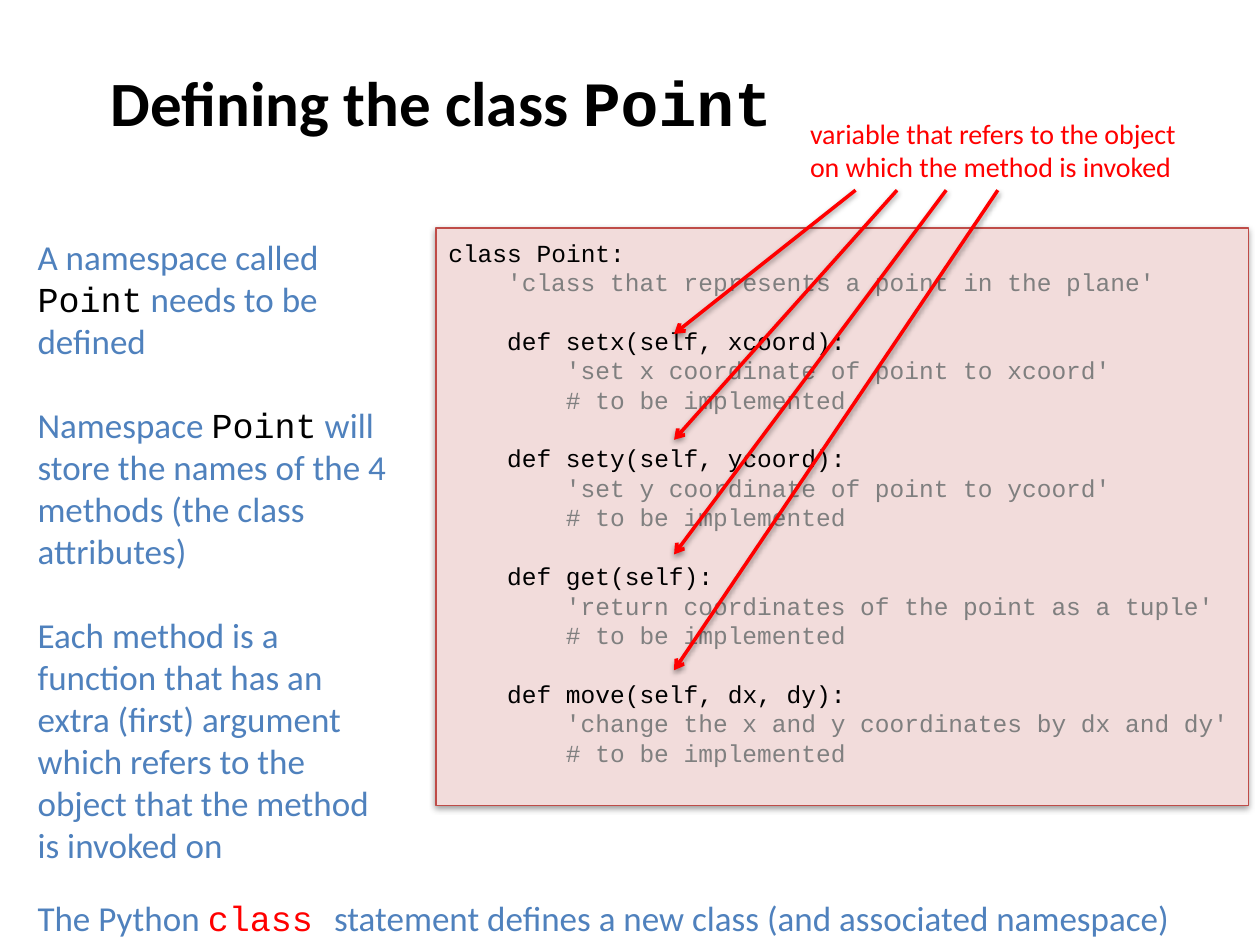
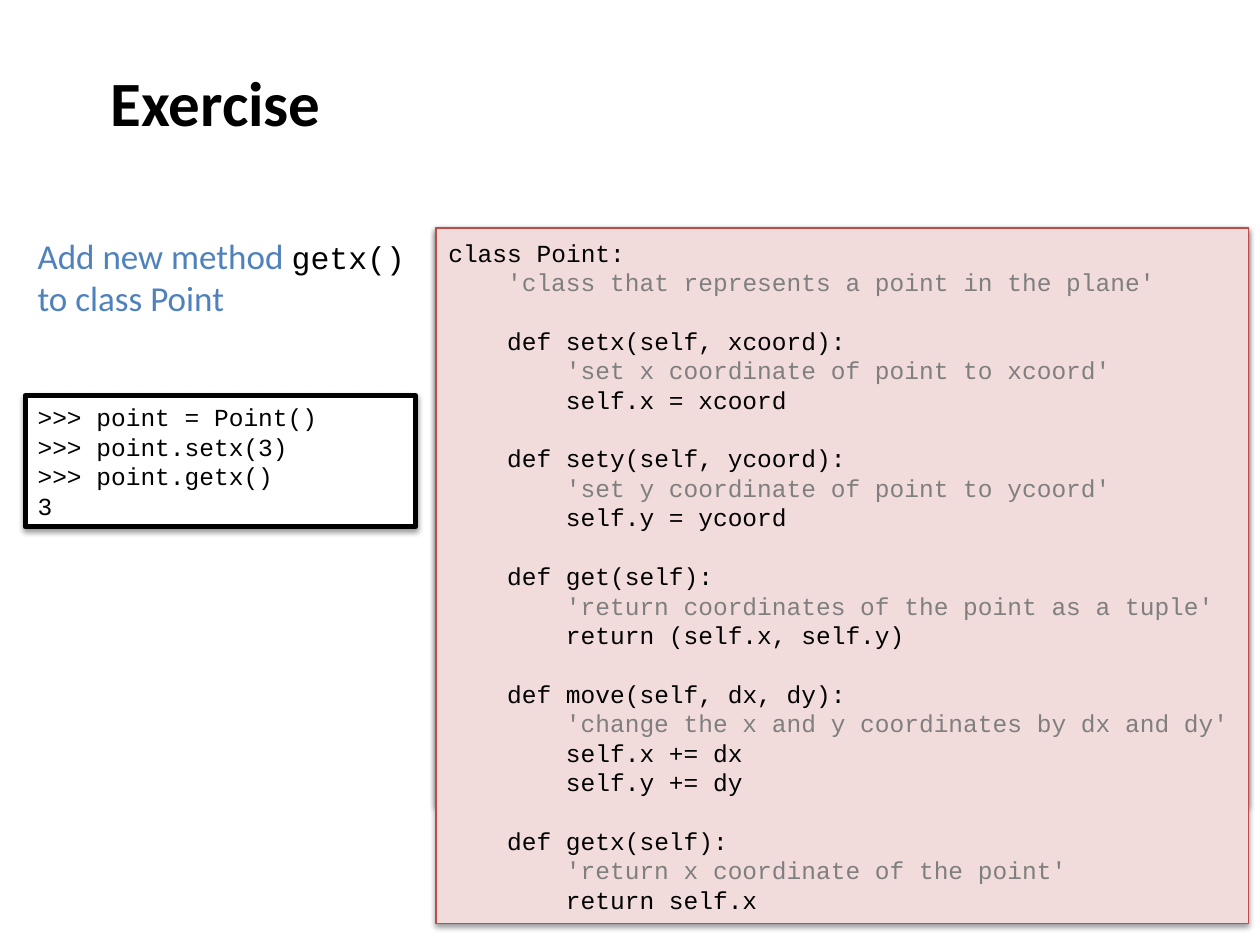
from lxml import etree
from pptx import Presentation
from pptx.dml.color import RGBColor
from pptx.enum.shapes import MSO_CONNECTOR, MSO_SHAPE
from pptx.enum.text import MSO_ANCHOR, PP_ALIGN
from pptx.oxml import parse_xml
from pptx.oxml.ns import qn
from pptx.util import Pt

RECT = MSO_SHAPE.RECTANGLE
STRAIGHT = MSO_CONNECTOR.STRAIGHT
TOP, MIDDLE = MSO_ANCHOR.TOP, MSO_ANCHOR.MIDDLE
LEFT = PP_ALIGN.LEFT

COLORS = {
    "black": "000000", "white": "FFFFFF", "blue": "4F81BD", "red": "FF0000",
    "panel": "F2DCDB", "border": "BF4C48", "docstring": "7F7F7F", "comment": "808080",
}
BODY, MONO = "Calibri", "Courier New"
CODE_SIZE, CODE_LINE, CODE_INDENT = 14, 16.8, 33.6
TITLE_BOX = (56.2, 0, 627.8, 116)
PANEL_BOX = (249.1, 130.3, 464.4, 329.8)
FULL_PANEL_BOX = (249.1, 130.3, 464.4, 397.4)
SHADOW = (
    '<a:effectLst xmlns:a="http://schemas.openxmlformats.org/drawingml/2006/main">'
    '<a:outerShdw blurRad="40000" dist="20000" dir="5400000" rotWithShape="0">'
    '<a:srgbClr val="000000"><a:alpha val="38000"/></a:srgbClr>'
    '</a:outerShdw></a:effectLst>'
)

CLASS_HEAD = [(0, "class Point:"), (1, "'class that represents a point in the plane'")]
METHODS = [
    ("setx(self, xcoord)", "set x coordinate of point to xcoord", ["self.x = xcoord"]),
    ("sety(self, ycoord)", "set y coordinate of point to ycoord", ["self.y = ycoord"]),
    ("get(self)", "return coordinates of the point as a tuple", ["return (self.x, self.y)"]),
    ("move(self, dx, dy)", "change the x and y coordinates by dx and dy",
     ["self.x += dx", "self.y += dy"]),
]
GETX = ("getx(self)", "return x coordinate of the point", ["return self.x"])
STUB = ["# to be implemented"]


def rgb(name):
    """Return the named colour."""
    return RGBColor.from_string(COLORS[name])


def add_run(p, text, size=20, font=BODY, color="blue", bold=False):
    """Add formatted text to a paragraph."""
    r = p.add_run()
    r.text = text
    r.font.size, r.font.name, r.font.bold = Pt(size), font, bold
    r.font.color.rgb = rgb(color)


def add_paragraphs(tf, paragraphs, gaps=(), gap=24, **fmt):
    """Fill a frame; each paragraph is a list of (text, format) runs."""
    for i, runs in enumerate(paragraphs):
        p = tf.add_paragraph() if i else tf.paragraphs[0]
        p.alignment = LEFT
        if i in gaps:
            p.space_before = Pt(gap)
        for text, own in runs:
            add_run(p, text, **{**fmt, **own})


def add_text(s, box, paragraphs, wrap=True, **fmt):
    """Add a vertically centred text box."""
    tf = s.shapes.add_textbox(*map(Pt, box)).text_frame
    tf.word_wrap, tf.vertical_anchor = wrap, MIDDLE
    add_paragraphs(tf, paragraphs, **fmt)


def add_title(s, *runs):
    """Add the slide title."""
    add_text(s, TITLE_BOX, [runs], size=36, color="black", bold=True)


def add_shadow(sp):
    """Give a shape or connector the soft drop shadow."""
    sp._element.spPr.append(parse_xml(SHADOW))


def add_panel(s, box, fill="panel", line="border", width=0.75):
    """Add a shadowed rectangle and return its text frame."""
    sp = s.shapes.add_shape(RECT, *map(Pt, box))
    sp.fill.solid()
    sp.fill.fore_color.rgb = rgb(fill)
    sp.line.color.rgb = rgb(line)
    sp.line.width = Pt(width)
    add_shadow(sp)
    tf = sp.text_frame
    tf.word_wrap, tf.vertical_anchor = True, MIDDLE
    return tf


def class_lines(methods, stubbed=False):
    """List (indent level, code) for the class Point."""
    lines = list(CLASS_HEAD)
    for signature, doc, body in methods:
        lines += [(1, f"def {signature}:"), (2, f"'{doc}'")]
        lines += [(2, code) for code in (STUB if stubbed else body)]
    return lines


def add_class_code(s, box, lines):
    """Add a panel with indented source code, one gap above each method."""
    tf = add_panel(s, box)
    tf.vertical_anchor, tf.margin_top = TOP, Pt(5.4)
    tones = {"'": "docstring", "#": "comment"}
    runs = [[(code, {"color": tones.get(code[0], "black")})] for _, code in lines]
    gaps = [i for i, (_, code) in enumerate(lines) if code.startswith("def")]
    add_paragraphs(tf, runs, gaps, CODE_LINE, size=CODE_SIZE, font=MONO)
    for p, (level, _) in zip(tf.paragraphs, lines):
        pPr = p._p.get_or_add_pPr()
        pPr.set("marL", str(Pt(level * CODE_INDENT)))
        pPr.set("indent", "0")


def add_console(s, box, lines):
    """Add the framed interpreter session."""
    tf = add_panel(s, box, "white", "black", 3)
    add_paragraphs(tf, [[(line, {})] for line in lines],
                   size=CODE_SIZE, font=MONO, color="black")


def add_self_arrows(s, box):
    """Point from the note above the panel to each self parameter."""
    x, y = box[:2]
    for start, end in zip((239.8, 263.5, 291.6, 321.1), (60.5, 121, 186.5, 252.7)):
        c = s.shapes.add_connector(STRAIGHT, Pt(x + start), Pt(y - 21.6),
                                   Pt(x + 136.1), Pt(y + end))
        c.line.color.rgb = rgb("red")
        c.line.width = Pt(2)
        etree.SubElement(c.line._get_or_add_ln(), qn("a:tailEnd"), type="arrow")
        add_shadow(c)


def definition_slide(prs):
    """Build the slide that defines the class."""
    s = prs.slides.add_slide(prs.slide_layouts[6])
    mono = {"font": MONO, "color": "black"}
    add_title(s, ("Defining the class ", {}), ("Point", mono))
    add_text(s, (14.4, 130.3, 223.2, 200.9), [
        [("A namespace called ", {}), ("Point", mono), (" needs to be defined", {})],
        [("Namespace ", {}), ("Point", mono),
         (" will store the names of the 4 methods (the class", {})],
        [("attributes)", {})],
    ], gaps=[1])
    add_text(s, (14.4, 346.3, 209.5, 152.6), [
        [("Each method is a function that has an extra (first) argument", {})],
        [("which refers to the object that the method is invoked on", {})],
    ])
    add_class_code(s, PANEL_BOX, class_lines(METHODS, stubbed=True))
    add_text(s, (14.4, 508.3, 669.6, 31.7), [[
        ("The Python ", {}), ("class ", {"font": MONO, "color": "red"}),
        ("statement defines a new class (and associated namespace)", {}),
    ]], wrap=False)
    add_text(s, (455.8, 62.6, 227.5, 46.1), [
        [("variable that refers to the object", {})],
        [("on which the method is invoked", {})],
    ], wrap=False, size=16, color="red")
    add_self_arrows(s, PANEL_BOX)


def exercise_slide(prs):
    """Build the slide with the exercise and its solution."""
    s = prs.slides.add_slide(prs.slide_layouts[6])
    add_title(s, ("Exercise", {}))
    add_text(s, (14.4, 130.3, 234.7, 55.4), [[
        ("Add new method ", {}),
        ("getx()", {"size": 18, "font": MONO, "color": "black"}),
        (" to class Point", {}),
    ]])
    add_panel(s, PANEL_BOX)
    add_console(s, (14.4, 226.1, 223.2, 74.9),
                [">>> point = Point()", ">>> point.setx(3)", ">>> point.getx()", "3"])
    add_class_code(s, FULL_PANEL_BOX, class_lines(METHODS + [GETX]))


def main():
    """Build and save the presentation."""
    prs = Presentation()
    prs.slide_width, prs.slide_height = Pt(720), Pt(540)
    definition_slide(prs)
    exercise_slide(prs)
    prs.save("out.pptx")


if __name__ == "__main__":
    main()
